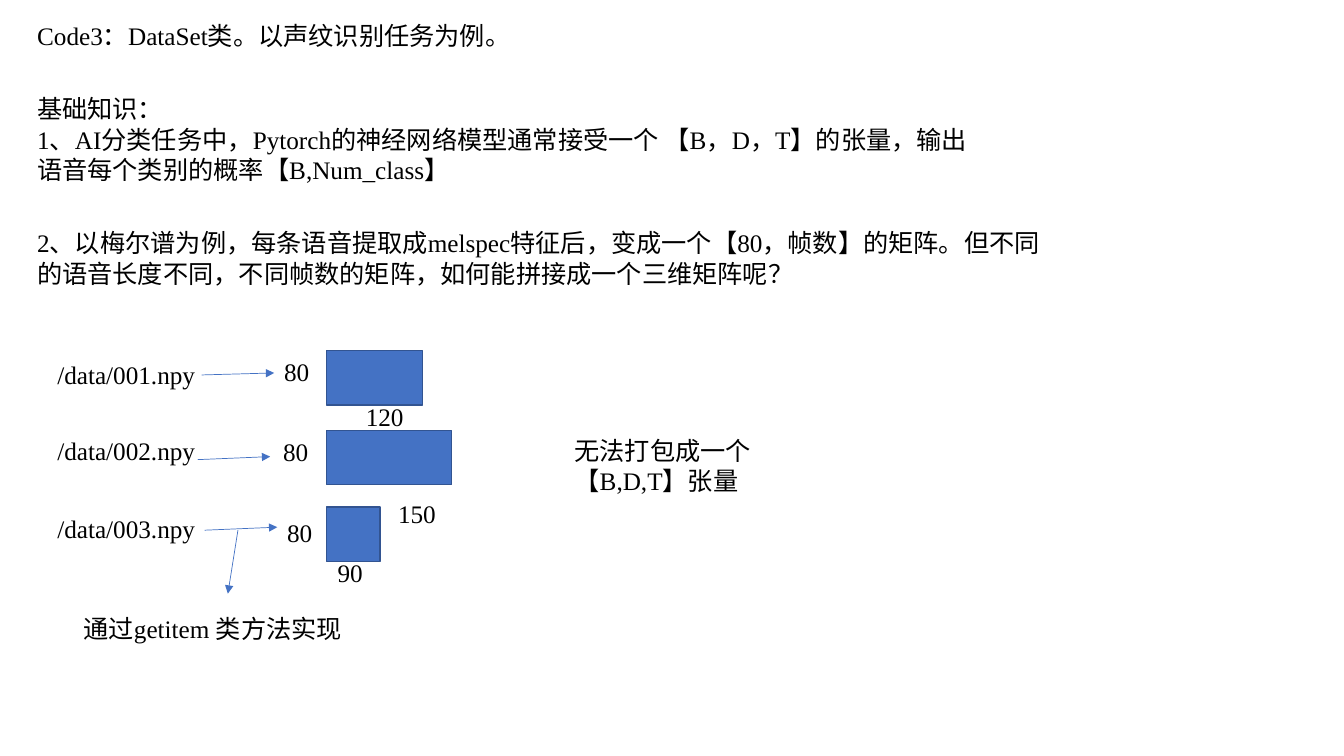
from pptx import Presentation
from pptx.dml.color import RGBColor as RGB
from pptx.enum.shapes import MSO_CONNECTOR as Conn, MSO_SHAPE as Shape
from pptx.enum.text import MSO_AUTO_SIZE as Auto
from pptx.oxml.ns import qn
from pptx.util import Inches, Pt
from lxml.etree import SubElement as Sub

COLORS = {"text": "000000", "blue": "4472C4", "edge": "325491"}
FONT = "Times New Roman"

# Text boxes: left, top, width, height, paragraphs
NOTES = [
    (0.27, 0.15, 6.16, 0.4, ["Code3：DataSet类。以声纹识别任务为例。"]),
    (0.27, 0.88, 9.58, 1.01, [
        "基础知识：",
        "1、AI分类任务中，Pytorch的神经网络模型通常接受一个 【B，D，T】的张量，"
        "输出语音每个类别的概率【B,Num_class】"]),
    (0.27, 2.21, 10.22, 0.71, [
        "2、以梅尔谱为例，每条语音提取成melspec特征后，变成一个【80，帧数】的矩阵。"
        "但不同的语音长度不同，不同帧数的矩阵，如何能拼接成一个三维矩阵呢？"]),
    (0.73, 6.04, 2.95, 0.4, ["通过getitem 类方法实现"]),
    (5.6, 4.27, 2.66, 0.71, ["无法打包成一个【B,D,T】张量"]),
]

# Files: name, name top, matrix top and width, place of "80",
# frame count and its place, arrow start and end
FILES = [
    ("001", 3.52, 3.48, 0.95, (2.72, 3.49), "120", (3.53, 3.93),
     (2, 3.72), (2.72, 3.7)),
    ("002", 4.27, 4.27, 1.24, (2.71, 4.28), "150", (3.85, 4.89),
     (1.96, 4.56), (2.68, 4.53)),
    ("003", 5.04, 5.03, 0.53, (2.75, 5.08), "90", (3.25, 5.48),
     (2.03, 5.26), (2.75, 5.23)),
]


def color(name):
    return RGB.from_string(COLORS[name])


def add_text(slide, left, top, width, height, lines):
    box = slide.shapes.add_textbox(*map(Inches, (left, top, width, height)))
    frame = box.text_frame
    frame.word_wrap = True
    frame.auto_size = Auto.SHAPE_TO_FIT_TEXT
    frame.text = "\n".join(lines)
    for para in frame.paragraphs:
        para.font.name = FONT
        para.font.size = Pt(18)
        para.font.color.rgb = color("text")


def add_size(slide, spot, size):
    add_text(slide, *spot, 0.63, 0.4, [size])


def add_matrix(slide, top, width):
    rect = slide.shapes.add_shape(
        Shape.RECTANGLE, *map(Inches, (3.24, top, width, 0.54)))
    rect.shadow.inherit = False
    rect.fill.solid()
    rect.fill.fore_color.rgb = color("blue")
    rect.line.color.rgb = color("edge")
    rect.line.width = Pt(1)


def add_arrow(slide, start, end):
    arrow = slide.shapes.add_connector(
        Conn.STRAIGHT, *map(Inches, (*start, *end)))
    arrow.line.color.rgb = color("blue")
    arrow.line.width = Pt(0.5)
    Sub(arrow.line._get_or_add_ln(), qn("a:tailEnd"), type="triangle")
    Sub(arrow._element.spPr, qn("a:effectLst"))


def main():
    deck = Presentation()
    deck.slide_width, deck.slide_height = Inches(13.33), Inches(7.5)
    slide = deck.slides.add_slide(deck.slide_layouts[6])

    # Explanations
    for note in NOTES:
        add_text(slide, *note)

    # One row per file: name, arrow, matrix and its two sizes
    for name, top, y, width, rows, count, spot, start, end in FILES:
        add_text(slide, 0.47, top, 1.79, 0.4, [f"/data/{name}.npy"])
        add_matrix(slide, y, width)
        add_size(slide, rows, "80")
        add_size(slide, spot, count)
        add_arrow(slide, start, end)

    # Arrow down to the getitem remark
    add_arrow(slide, (2.36, 5.26), (2.26, 5.89))

    deck.save("out.pptx")


main()
